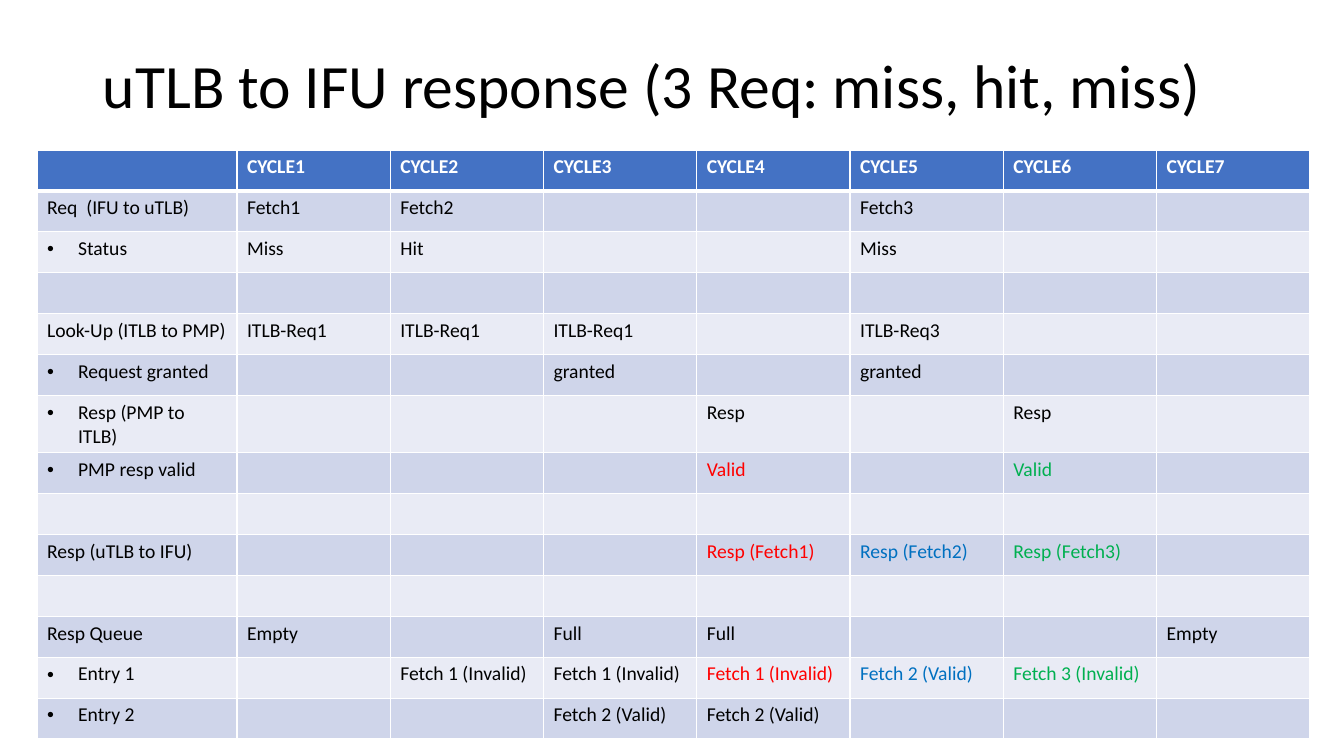
"""Build the uTLB to IFU response timing slide."""
from lxml import etree
from pptx import Presentation
from pptx.dml.color import RGBColor
from pptx.enum.text import MSO_ANCHOR
from pptx.oxml.ns import qn
from pptx.util import Emu, Pt

MIDDLE = MSO_ANCHOR.MIDDLE
BLACK = RGBColor(0x00, 0x00, 0x00)
WHITE = RGBColor(0xFF, 0xFF, 0xFF)
HEADER_BLUE = RGBColor(0x44, 0x72, 0xC4)
BAND_DARK = RGBColor(0xCF, 0xD5, 0xEA)
BAND_LIGHT = RGBColor(0xE9, 0xEB, 0xF5)
RED = RGBColor(0xFF, 0x00, 0x00)
BLUE = RGBColor(0x00, 0x70, 0xC0)
GREEN = RGBColor(0x00, 0xB0, 0x50)

TITLE = "uTLB to IFU response (3 Req: miss, hit, miss)"
CYCLES = 7
PLAIN, BULLET = False, True
SIGNALS = [
    ("Req  (IFU to uTLB)", PLAIN, {1: "Fetch1", 2: "Fetch2", 5: "Fetch3"}),
    ("Status", BULLET, {1: "Miss", 2: "Hit", 5: "Miss"}),
    ("", PLAIN, {}),
    ("Look-Up (ITLB to PMP)", PLAIN,
     {1: "ITLB-Req1", 2: "ITLB-Req1", 3: "ITLB-Req1", 5: "ITLB-Req3"}),
    ("Request granted", BULLET, {3: "granted", 5: "granted"}),
    ("Resp (PMP to ITLB)", BULLET, {4: "Resp", 6: "Resp"}),
    ("PMP resp valid", BULLET, {4: "Valid", 6: "Valid"}),
    ("", PLAIN, {}),
    ("Resp (uTLB to IFU)", PLAIN,
     {4: "Resp (Fetch1)", 5: "Resp (Fetch2)", 6: "Resp (Fetch3)"}),
    ("", PLAIN, {}),
    ("Resp Queue", PLAIN, {1: "Empty", 3: "Full", 4: "Full", 7: "Empty"}),
    ("Entry 1", BULLET,
     {2: "Fetch 1 (Invalid)", 3: "Fetch 1 (Invalid)", 4: "Fetch 1 (Invalid)",
      5: "Fetch 2 (Valid)", 6: "Fetch 3 (Invalid)"}),
    ("Entry 2", BULLET, {3: "Fetch 2 (Valid)", 4: "Fetch 2 (Valid)"}),
]
RESPONSE_COLORS = {4: RED, 5: BLUE, 6: GREEN}
RESPONSE_SIGNALS = {"PMP resp valid", "Resp (uTLB to IFU)", "Entry 1"}

SLIDE_SIZE = (1344, 756)
TITLE_BOX = (93, 16, 1159, 146)
TABLE_BOX = (37, 150, 1273, 573)
LABEL_WIDTH = 200
BULLET_INDENT = 31


def px(length):
    """Turn px into EMU."""
    return Emu(round(length * 914400 / 100.8))


def write(paragraph, text, size, color, bold=False):
    """Add one formatted run to a paragraph."""
    run = paragraph.add_run()
    run.text = text
    run.font.color.rgb = color
    formats = {"name": "Calibri", "size": Pt(size), "bold": bold}
    for name, value in formats.items():
        setattr(run.font, name, value)


def add_bullet(paragraph):
    """Give a paragraph a hanging round bullet."""
    properties = paragraph._p.get_or_add_pPr()
    properties.set("marL", str(px(BULLET_INDENT)))
    properties.set("indent", str(-px(BULLET_INDENT)))
    etree.SubElement(properties, qn("a:buFont")).set("typeface", "Arial")
    etree.SubElement(properties, qn("a:buChar")).set("char", "•")


def add_borders(cell, top, bottom):
    """Draw white borders, with top and bottom widths in points."""
    properties = cell._tc.get_or_add_tcPr()
    for side, width in {"L": 1, "R": 1, "T": top, "B": bottom}.items():
        line = etree.SubElement(properties, qn(f"a:ln{side}"), w=str(Pt(width)))
        fill = etree.SubElement(line, qn("a:solidFill"))
        etree.SubElement(fill, qn("a:srgbClr")).set("val", str(WHITE))


def add_title(slide):
    """Add the title text."""
    frame = slide.shapes.add_textbox(*map(px, TITLE_BOX)).text_frame
    frame.word_wrap = True
    frame.vertical_anchor = MIDDLE
    paragraph = frame.paragraphs[0]
    paragraph.line_spacing = 0.9
    write(paragraph, TITLE, 44, BLACK)


def add_timing_table(slide):
    """Add the table of signals by cycle."""
    headings = {cycle: f"CYCLE{cycle}" for cycle in range(1, CYCLES + 1)}
    rows = [("", PLAIN, headings)] + SIGNALS
    shape = slide.shapes.add_table(len(rows), CYCLES + 1, *map(px, TABLE_BOX))
    table = shape.table
    width, height = TABLE_BOX[2:]
    for index, column in enumerate(table.columns):
        column.width = px((width - LABEL_WIDTH) / CYCLES if index else LABEL_WIDTH)
    for index, (label, bulleted, cycles) in enumerate(rows):
        table.rows[index].height = px(height / len(rows))
        header = index == 0
        band = HEADER_BLUE if header else (BAND_LIGHT, BAND_DARK)[index % 2]
        colors = RESPONSE_COLORS if label in RESPONSE_SIGNALS else {}
        texts = {0: label, **cycles}
        for position in range(CYCLES + 1):
            cell = table.cell(index, position)
            add_borders(cell, 3 if index == 1 else 1, 3 if header else 1)
            cell.fill.solid()
            cell.fill.fore_color.rgb = band
            paragraph = cell.text_frame.paragraphs[0]
            paragraph.font.size = Pt(14)
            if bulleted and position == 0:
                add_bullet(paragraph)
            if texts.get(position):
                color = WHITE if header else colors.get(position, BLACK)
                write(paragraph, texts[position], 14, color, header)


def main():
    """Build and save the presentation."""
    presentation = Presentation()
    presentation.slide_width, presentation.slide_height = map(px, SLIDE_SIZE)
    slide = presentation.slides.add_slide(presentation.slide_layouts[6])
    add_title(slide)
    add_timing_table(slide)
    presentation.save("out.pptx")


if __name__ == "__main__":
    main()
